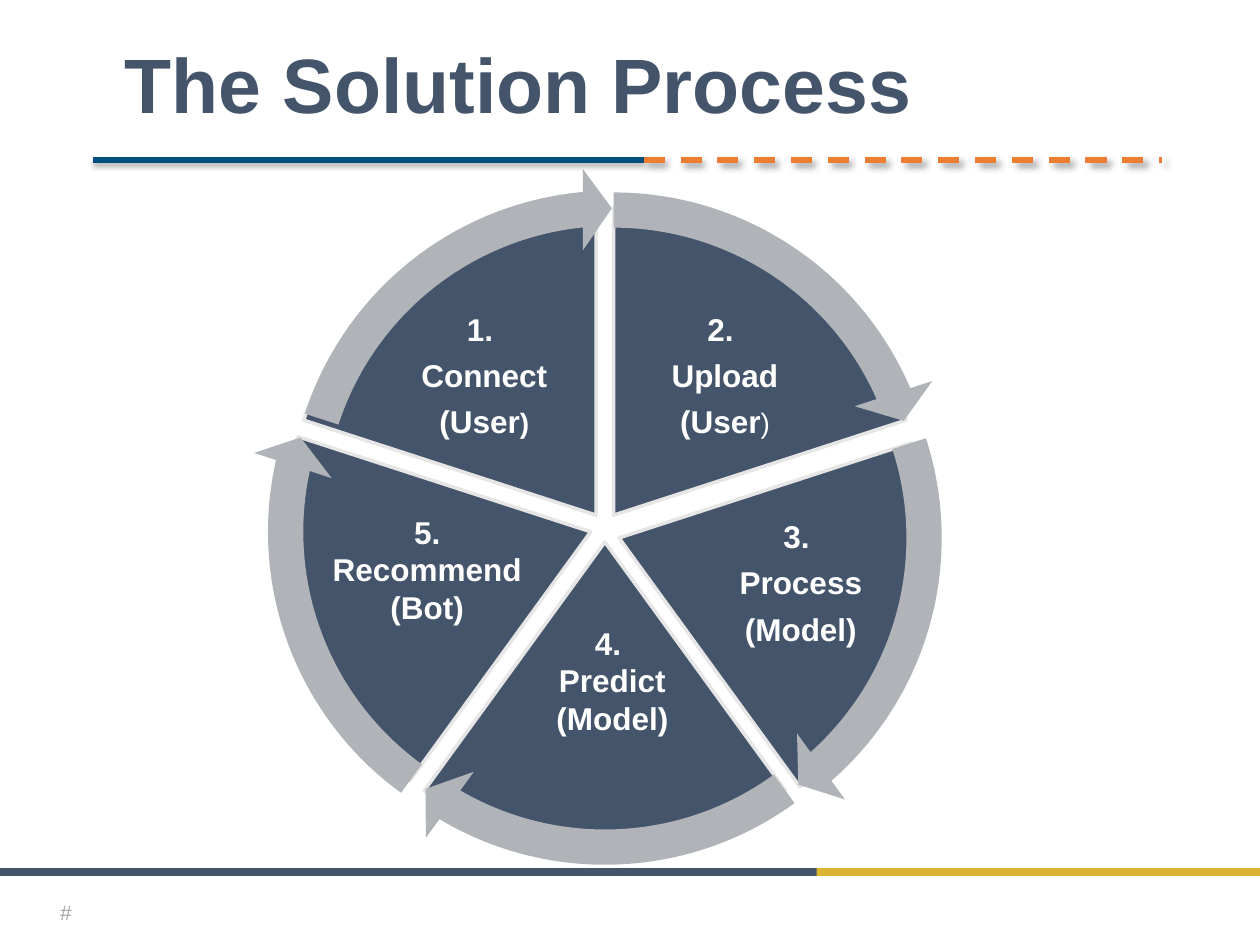
from math import cos, radians, sin

from lxml import etree
from pptx import Presentation
from pptx.dml.color import RGBColor
from pptx.enum.dml import MSO_LINE
from pptx.enum.shapes import MSO_CONNECTOR, MSO_SHAPE
from pptx.enum.text import MSO_ANCHOR, MSO_AUTO_SIZE, PP_ALIGN
from pptx.oxml.ns import qn
from pptx.util import Pt

RECT, PIE, ARROW = MSO_SHAPE.RECTANGLE, MSO_SHAPE.PIE, MSO_SHAPE.CIRCULAR_ARROW
STRAIGHT, DASH = MSO_CONNECTOR.STRAIGHT, MSO_LINE.DASH
LEFT, CENTER, RIGHT = PP_ALIGN.LEFT, PP_ALIGN.CENTER, PP_ALIGN.RIGHT
TOP, MIDDLE = MSO_ANCHOR.TOP, MSO_ANCHOR.MIDDLE
NO_AUTOFIT = MSO_AUTO_SIZE.NONE

SLATE = RGBColor(0x44, 0x54, 0x6A)
GOLD = RGBColor(0xDC, 0xB4, 0x34)
BLUE = RGBColor(0x00, 0x4F, 0x7D)
ORANGE = RGBColor(0xED, 0x7D, 0x31)
SILVER = RGBColor(0xB0, 0xB4, 0xB9)
PALE = RGBColor(0xE7, 0xE6, 0xE6)
GRAY = RGBColor(0xA5, 0xA5, 0xA5)
WHITE = RGBColor(0xFF, 0xFF, 0xFF)

# Angles are in adjustment units: 216 make a full turn
FULL_TURN = 216
SLICE_ANGLE = FULL_TURN / 5
FIRST_START = 162
HEAD_ANGLE = 3.28

SPACED = dict(anchor=MIDDLE, insets=(2, 2, 2, 2), line_spacing=0.9, space_after=7)

# Paragraphs, label box within the wheel, text format, slice shift, arrow shift
STEPS = [
    (["2. ", "Upload", [("(User", {}), (")", {"size": 16, "bold": False})]],
     (209.8, 74.2, 113, 75.6), SPACED, (0, 0), (0, 0)),
    (["3. ", "Process", "(Model)"],
     (257.4, 188.7, 104.4, 83.5), SPACED, (0, 3.5), (0, 3.5)),
    (["4. ", "Predict", "(Model)"],
     (153.7, 249.2, 96.5, 94.3), {}, (0, 0), (0, 0)),
    (["5. Recommend", "(Bot)"],
     (30.6, 185.8, 131, 72.7), {}, (0, 0), (0, 0)),
    (["1. ", "Connect", [("(User", {}), (")", {"size": 16})]],
     (72.3, 74.2, 113, 75.6), SPACED, (0, 0), (9, -1)),
]


def write_text(shape, paragraphs, size=18, color=WHITE, bold=True, align=CENTER,
               anchor=TOP, insets=(7.2, 3.6, 7.2, 3.6), line_spacing=None,
               space_after=None):
    """Each paragraph is a string, or a list of (text, format changes)."""
    frame = shape.text_frame
    frame.word_wrap = True
    frame.auto_size = NO_AUTOFIT
    frame.vertical_anchor = anchor
    (frame.margin_left, frame.margin_top,
     frame.margin_right, frame.margin_bottom) = map(Pt, insets)
    for number, runs in enumerate(paragraphs):
        paragraph = frame.add_paragraph() if number else frame.paragraphs[0]
        paragraph.alignment = align
        if line_spacing:
            paragraph.line_spacing = line_spacing
        if space_after:
            paragraph.space_after = Pt(space_after)
        for text, changes in [(runs, {})] if isinstance(runs, str) else runs:
            run = paragraph.add_run()
            run.text = text
            run.font.name = "Arial"
            run.font.size = Pt(changes.get("size", size))
            run.font.bold = changes.get("bold", bold)
            run.font.color.rgb = color


def add_label(slide, box, paragraphs, **text_format):
    label = slide.shapes.add_textbox(*map(Pt, box))
    write_text(label, paragraphs, **text_format)


def add_filled(slide, kind, box, fill, line=None, adjustments=()):
    shape = slide.shapes.add_shape(kind, *map(Pt, box))
    shape.shadow.inherit = False
    shape.fill.solid()
    shape.fill.fore_color.rgb = fill
    if line:
        shape.line.color.rgb = line
        shape.line.width = Pt(2)
    else:
        shape.line.fill.background()
    for index, value in enumerate(adjustments):
        shape.adjustments[index] = value


def add_rule(slide, start, end, y, color, alpha, blur, distance, angle, dash=None):
    rule = slide.shapes.add_connector(STRAIGHT, Pt(start), Pt(y), Pt(end), Pt(y))
    rule.line.color.rgb = color
    rule.line.width = Pt(3)
    if dash:
        rule.line.dash_style = dash
    # Drop shadow
    effects = etree.SubElement(rule.element.spPr, qn("a:effectLst"))
    shadow = etree.SubElement(
        effects, qn("a:outerShdw"), blurRad=str(Pt(blur)), dist=str(Pt(distance)),
        dir=str(angle * 60000), rotWithShape="0")
    black = etree.SubElement(shadow, qn("a:srgbClr"), val="000000")
    etree.SubElement(black, qn("a:alpha"), val=str(alpha * 1000))


def add_header(slide, box):
    left, top, width, height = box
    # Title
    title = slide.shapes.title
    title.left, title.top = Pt(left + 10.8), Pt(top)
    title.width, title.height = Pt(width), Pt(height)
    write_text(title, ["The Solution Process"], size=44, color=SLATE, align=LEFT)
    # Solid and dashed rules
    y, middle = top + 74.2, left + 314.6
    add_rule(slide, left, middle, y, BLUE, 35, 3.1, 1.8, 90)
    add_rule(slide, middle, left + 610.6, y, ORANGE, 40, 4, 3, 45, dash=DASH)


def add_footer(slide, box):
    left, top, width, height = box
    bar_height, gold_width = 4.5, 253.4
    add_filled(slide, RECT, (left, top, 681.8, bar_height), SLATE)
    add_filled(slide, RECT, (left + width - gold_width, top, gold_width, bar_height), GOLD)
    # Slide number
    add_label(slide, (left + 15.8, top + 10.8, 28.8, 28.8), ["#"], size=12,
              color=GRAY, bold=False, align=RIGHT, anchor=MIDDLE,
              insets=(7.2, 3.6, 3.6, 3.6))


def add_wheel(slide, box):
    left, top, size, _ = box
    slice_size, spread = 351.4, 8.5

    def ring_box(diameter, number, shift):
        """Square pushed outwards along the middle of its slice."""
        middle = radians((FIRST_START + (number + 0.5) * SLICE_ANGLE) * 360 / FULL_TURN)
        inset = (size - diameter) / 2
        return (left + inset + spread * cos(middle) + shift[0],
                top + inset + spread * sin(middle) + shift[1], diameter, diameter)

    starts = [(FIRST_START + number * SLICE_ANGLE) % FULL_TURN
              for number in range(len(STEPS))]
    # Slices and their labels
    for number, (text, place, text_format, shift, _) in enumerate(STEPS):
        end = (starts[number] + SLICE_ANGLE) % FULL_TURN
        add_filled(slide, PIE, ring_box(slice_size, number, shift), SLATE, PALE,
                   (starts[number], end))
        x, y, width, height = place
        add_label(slide, (left + x, top + y, width, height), text, **text_format)
    # Arrows around the rim
    for number, (*_, shift) in enumerate(STEPS):
        tip = (starts[number] + SLICE_ANGLE - HEAD_ANGLE) % FULL_TURN
        add_filled(slide, ARROW, ring_box(size, number, shift), SILVER,
                   adjustments=(0.051, HEAD_ANGLE, tip, starts[number], 0.059))


def main():
    deck = Presentation()
    deck.slide_width, deck.slide_height = Pt(720), Pt(540)
    slide = deck.slides.add_slide(deck.slide_layouts[5])
    add_footer(slide, (0, 496.1, 720, 43.9))
    add_wheel(slide, (148, 103.6, 395.3, 395.3))
    add_header(slide, (53.3, 17.3, 637.9, 94.3))
    deck.save("out.pptx")


if __name__ == "__main__":
    main()
